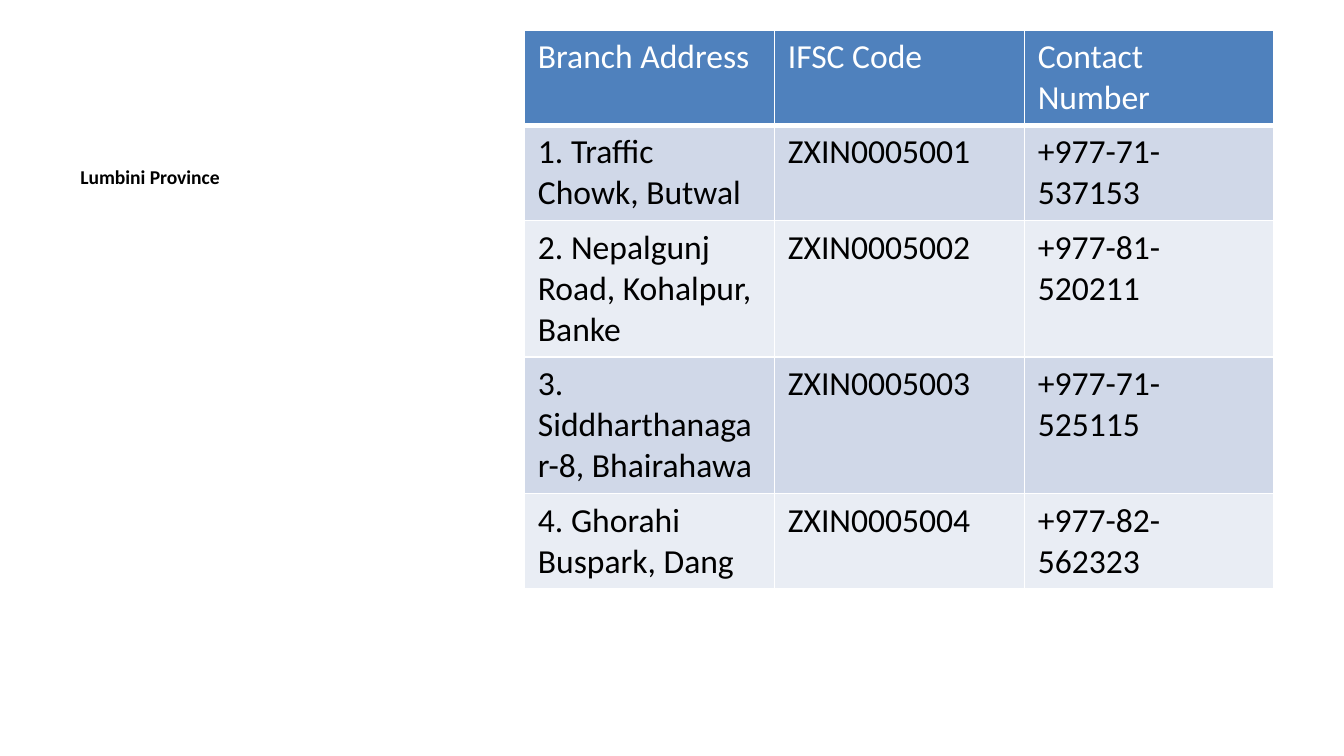
from lxml.etree import SubElement
from pptx import Presentation
from pptx.dml.color import RGBColor
from pptx.oxml.ns import qn
from pptx.util import Pt

FONT = "Calibri"
BLACK = RGBColor(0x00, 0x00, 0x00)
WHITE = RGBColor(0xFF, 0xFF, 0xFF)
HEADER_BLUE = RGBColor(0x4F, 0x81, 0xBD)
BANDS = (RGBColor(0xD0, 0xD8, 0xE8), RGBColor(0xE9, 0xED, 0xF4))

COLUMN_WIDTH = 133.9
TWO_LINES, THREE_LINES = 51.1, 73.1
ROW_HEIGHTS = (TWO_LINES, TWO_LINES, THREE_LINES, THREE_LINES, TWO_LINES)
BRANCHES = (
    ("Branch Address", "IFSC Code", "Contact Number"),
    ("1. Traffic Chowk, Butwal", "ZXIN0005001", "+977-71-537153"),
    ("2. Nepalgunj Road, Kohalpur, Banke", "ZXIN0005002", "+977-81-520211"),
    ("3. Siddharthanagar-8, Bhairahawa", "ZXIN0005003", "+977-71-525115"),
    ("4. Ghorahi Buspark, Dang", "ZXIN0005004", "+977-82-562323"),
)


def add_span(para, text, size, color, bold=False):
    span = para.add_run()
    span.text = text
    span.font.name = FONT
    span.font.size = Pt(size)
    span.font.bold = bold
    span.font.color.rgb = color


def add_province(page, text):
    box = page.shapes.add_textbox(Pt(36), Pt(85), Pt(237), Pt(277))
    box.text_frame.word_wrap = True
    add_span(box.text_frame.paragraphs[0], text, 10.5, BLACK, bold=True)


def set_borders(cell, bottom_width):
    properties = cell._tc.get_or_add_tcPr()
    widths = {"a:lnL": 1, "a:lnR": 1, "a:lnT": 1, "a:lnB": bottom_width}
    for tag, width in widths.items():
        line = SubElement(properties, qn(tag), w=str(Pt(width)))
        fill = SubElement(line, qn("a:solidFill"))
        SubElement(fill, qn("a:srgbClr"), val=str(WHITE))


def fill_cell(cell, text, is_header, background):
    set_borders(cell, 3 if is_header else 1)
    cell.fill.solid()
    cell.fill.fore_color.rgb = background
    add_span(cell.text_frame.paragraphs[0], text, 18, WHITE if is_header else BLACK)


def add_branch_table(page):
    row_count, column_count = len(BRANCHES), len(BRANCHES[0])
    table = page.shapes.add_table(
        row_count, column_count, Pt(281), Pt(16),
        Pt(COLUMN_WIDTH * column_count), Pt(sum(ROW_HEIGHTS)),
    ).table
    table.first_row = table.horz_banding = False
    for column in table.columns:
        column.width = Pt(COLUMN_WIDTH)
    for index, (texts, height) in enumerate(zip(BRANCHES, ROW_HEIGHTS)):
        row = table.rows[index]
        row.height = Pt(height)
        is_header = index == 0
        background = HEADER_BLUE if is_header else BANDS[(index - 1) % 2]
        for cell, text in zip(row.cells, texts):
            fill_cell(cell, text, is_header, background)


def main():
    deck = Presentation()
    deck.slide_width, deck.slide_height = Pt(720), Pt(405)
    page = deck.slides.add_slide(deck.slide_layouts[6])
    add_province(page, "Lumbini Province")
    add_branch_table(page)
    deck.save("out.pptx")


if __name__ == "__main__":
    main()
